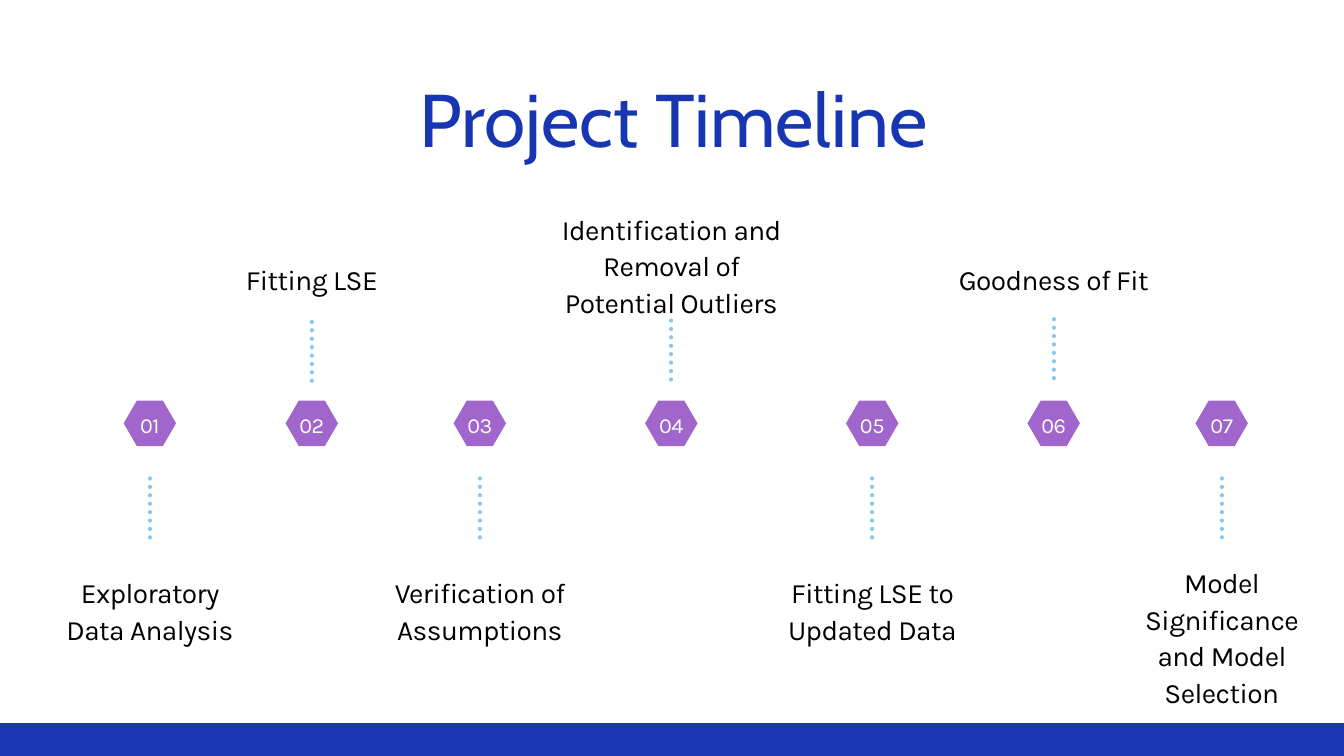
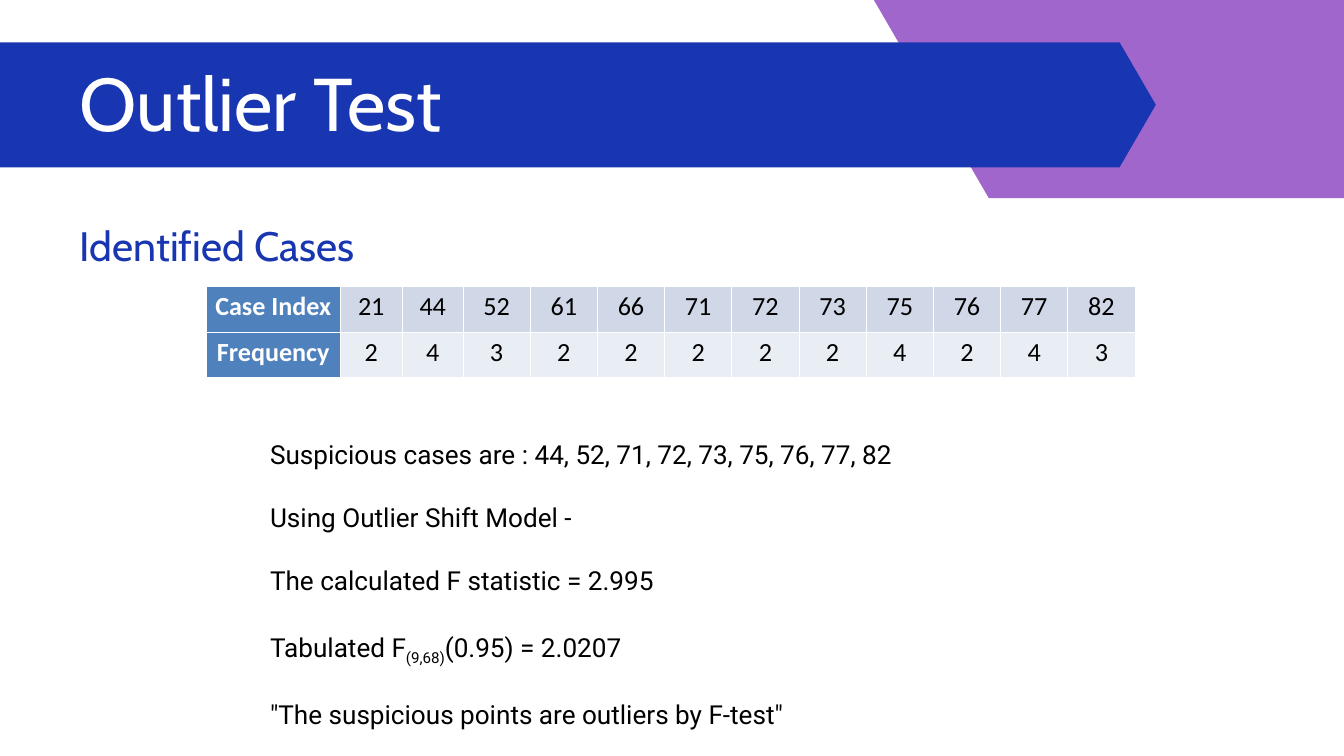
from dataclasses import dataclass, replace

from lxml.etree import SubElement
from pptx import Presentation
from pptx.dml.color import RGBColor
from pptx.enum.dml import MSO_LINE_DASH_STYLE as Dash
from pptx.enum.shapes import MSO_CONNECTOR as Connector, MSO_SHAPE as Shape
from pptx.enum.text import MSO_AUTO_SIZE as AutoSize, PP_ALIGN as Align
from pptx.oxml.ns import qn
from pptx.util import Emu, Inches, Pt

COLUMNS, ROWS = 20, 11.25
SLIDE_WIDTH, SLIDE_HEIGHT = Inches(20), Inches(11.25)

BLUE = RGBColor(0x18, 0x36, 0xB2)
PURPLE = RGBColor(0xA0, 0x66, 0xCB)
SKY = RGBColor(0x86, 0xC7, 0xED)
WHITE = RGBColor(0xFF, 0xFF, 0xFF)
BLACK = RGBColor(0x00, 0x00, 0x00)
HEADER_FILL = RGBColor(0x4F, 0x81, 0xBD)
BAND_FILLS = (RGBColor(0xD0, 0xD8, 0xE8), RGBColor(0xE9, 0xED, 0xF4))

HEXAGON_SLANT = 0.29
LINE_LENGTH = 1


@dataclass(frozen=True)
class Box:
    """A rectangle measured in grid columns and rows."""
    left: float
    top: float
    width: float
    height: float

    def inner(self, left, top, width, height):
        """Return a box placed relative to this one's corner."""
        return Box(self.left + left, self.top + top, width, height)

    def emu(self):
        """Return left, top, width and height as slide lengths."""
        return (across(self.left), down(self.top),
                across(self.width), down(self.height))


@dataclass(frozen=True)
class Style:
    """The look of one kind of text."""
    font: str
    size: float
    color: RGBColor
    spacing: object
    align: Align = Align.LEFT
    tracking: int = 0
    bold: bool = False


TITLE = Style("Cabin", 80, BLUE, Pt(88))
SUBTITLE = replace(TITLE, size=44)
LABEL = Style("Karla", 30, BLACK, Pt(39), Align.CENTER, -60)
NUMBER = Style("Karla", 23.1, WHITE, Pt(32.4), Align.CENTER, -50)
BODY = Style("Roboto", 28, BLACK, 2.0, Align.JUSTIFY)
CELL = Style("Calibri", 28, BLACK, 1.15, Align.CENTER)
CELL_HEADER = replace(CELL, color=WHITE, bold=True)

STEPS = [
    (2.23, 7.12, 8.53, 2.95, 1.07, "Exploratory Data Analysis"),
    (4.64, 4.79, 3.87, 2.95, 0.52, "Fitting LSE"),
    (7.14, 7.12, 8.53, 2.95, 1.07, "Verification of Assumptions"),
    (9.99, 4.77, 3.12, 3.64, 1.62,
     "Identification and Removal of Potential Outliers"),
    (12.98, 7.12, 8.53, 2.95, 1.07, "Fitting LSE to Updated Data"),
    (15.68, 4.75, 3.87, 2.95, 0.52, "Goodness of Fit"),
    (18.18, 7.12, 8.38, 2.95, 2.19, "Model Significance and Model Selection"),
]

CASES = [
    ("Case Index", 21, 44, 52, 61, 66, 71, 72, 73, 75, 76, 77, 82),
    ("Frequency", 2, 4, 3, 2, 2, 2, 2, 2, 4, 2, 4, 3),
]
CASE_WIDTHS = [1.99, 0.93, 0.9] + [1] * 10

FINDINGS = [
    ["Suspicious cases are : 44, 52, 71, 72, 73, 75, 76, 77, 82"],
    ["Using Outlier Shift Model -"],
    ["The calculated F statistic = 2.995"],
    ["Tabulated F", "(9,68)", "(0.95) = 2.0207"],
    ['"The suspicious points are outliers by F-test"'],
]


def across(columns):
    """Turn grid columns into a slide length."""
    return Emu(round(SLIDE_WIDTH * columns / COLUMNS))


def down(rows):
    """Turn grid rows into a slide length."""
    return Emu(round(SLIDE_HEIGHT * rows / ROWS))


def format_paragraph(para, style):
    """Apply a text style to a paragraph and its runs."""
    para.alignment = style.align
    para.line_spacing = style.spacing
    for span in para.runs:
        span.font.name = style.font
        span.font.size = Pt(style.size)
        span.font.bold = style.bold
        span.font.color.rgb = style.color
        if style.tracking:
            span._r.get_or_add_rPr().set("spc", str(style.tracking))


def add_text_box(page, box, inset=True):
    """Add an empty wrapping text box and return its frame."""
    frame = page.shapes.add_textbox(*box.emu()).text_frame
    frame.word_wrap = True
    frame.auto_size = AutoSize.SHAPE_TO_FIT_TEXT
    if not inset:
        frame.margin_left = frame.margin_right = 0
        frame.margin_top = frame.margin_bottom = 0
    return frame


def add_text(page, box, text, style):
    """Add a one-paragraph text box without insets."""
    frame = add_text_box(page, box, inset=False)
    frame.text = text
    format_paragraph(frame.paragraphs[0], style)


def add_filled_shape(page, kind, box, color):
    """Add a flat preset shape without outline."""
    shape = page.shapes.add_shape(kind, *box.emu())
    shape.shadow.inherit = False
    shape.fill.solid()
    shape.fill.fore_color.rgb = color
    shape.line.fill.background()
    return shape


def add_hexagon(page, box, color):
    """Add a hexagon with the shared slant."""
    add_filled_shape(page, Shape.HEXAGON, box, color).adjustments[0] = HEXAGON_SLANT


def add_dotted_line(page, center, top):
    """Add a vertical line of round dots."""
    line = page.shapes.add_connector(
        Connector.STRAIGHT, across(center), down(top),
        across(center), down(top + LINE_LENGTH))
    line.line.color.rgb = SKY
    line.line.width = Pt(4.5)
    line.line.dash_style = Dash.ROUND_DOT
    line.line._get_or_add_ln().set("cap", "rnd")
    SubElement(line._element.spPr, qn("a:effectLst"))


def add_marker(page, box, number):
    """Add a numbered hexagon."""
    add_hexagon(page, box, PURPLE)
    add_text(page, box.inner(0.17, 0.11, 0.44, 0.42), f"{number:02}", NUMBER)


def add_timeline(page, box):
    """Place every step's marker, dotted line and label."""
    for number, step in enumerate(STEPS, 1):
        center, line_top, label_top, width, height, text = step
        add_marker(page, box.inner(center - 0.39, 5.96, 0.78, 0.68), number)
        add_dotted_line(page, box.left + center, box.top + line_top)
        label_box = box.inner(center - width / 2, label_top, width, height)
        add_text(page, label_box, text, LABEL)


def add_banner(page, box, title):
    """Add the title band over the corner hexagon."""
    add_hexagon(page, box.inner(12.52, -4.62, 10.01, 7.57), PURPLE)
    add_hexagon(page, box.inner(-0.76, 0.63, 17.96, 1.86), BLUE)
    add_text(page, box.inner(1.19, 0.95, 14.42, 1.27), title,
             replace(TITLE, color=WHITE))


def format_cell(cell, style, fill):
    """Give a table cell its white borders, fill and text style."""
    properties = cell._tc.get_or_add_tcPr()
    for side in ("L", "R", "T", "B"):
        border = SubElement(properties, qn(f"a:ln{side}"), w=str(Pt(1)))
        solid = SubElement(border, qn("a:solidFill"))
        SubElement(solid, qn("a:srgbClr"), val=str(WHITE))
    cell.fill.solid()
    cell.fill.fore_color.rgb = fill
    cell.margin_left = cell.margin_right = across(0.07)
    cell.margin_top = cell.margin_bottom = 0
    para = cell.text_frame.paragraphs[0]
    para.space_after = Pt(12)
    format_paragraph(para, style)


def add_case_table(page, box):
    """Add the table of case indexes and frequencies."""
    table = page.shapes.add_table(len(CASES), len(CASE_WIDTHS), *box.emu()).table
    table.first_row = table.horz_banding = False
    for column, width in zip(table.columns, CASE_WIDTHS):
        column.width = across(width)
    for row, values, band in zip(table.rows, CASES, BAND_FILLS):
        row.height = down(box.height / len(CASES))
        for index, (cell, value) in enumerate(zip(row.cells, values)):
            cell.text = str(value)
            if index == 0:
                format_cell(cell, CELL_HEADER, HEADER_FILL)
            else:
                format_cell(cell, CELL, band)


def add_findings(page, box):
    """Add the findings, with each second run as a subscript."""
    frame = add_text_box(page, box)
    for index, pieces in enumerate(FINDINGS):
        para = frame.add_paragraph() if index else frame.paragraphs[0]
        for piece in pieces:
            para.add_run().text = piece
        format_paragraph(para, BODY)
        for span in para.runs[1:2]:
            span._r.get_or_add_rPr().set("baseline", "-25000")


def build_timeline_slide(page, box):
    """Build the project timeline slide."""
    add_filled_shape(page, Shape.RECTANGLE, box.inner(-0.17, 10.76, 20.39, 0.55), BLUE)
    add_text(page, box.inner(2.08, 1.2, 15.88, 1.25), "Project Timeline",
             replace(TITLE, align=Align.CENTER))
    add_timeline(page, box)


def build_outlier_slide(page, box):
    """Build the outlier test slide."""
    add_banner(page, box, "Outlier Test")
    add_text(page, box.inner(1.19, 2.79, 11.56, 1.09), "Identified Cases", SUBTITLE)
    add_case_table(page, box.inner(3.07, 4.26, sum(CASE_WIDTHS), 1.36))
    add_findings(page, box.inner(3.92, 6.01, 10.92, 4.66))


def main():
    """Build and save the deck."""
    deck = Presentation()
    deck.slide_width, deck.slide_height = SLIDE_WIDTH, SLIDE_HEIGHT
    for build in (build_timeline_slide, build_outlier_slide):
        page = deck.slides.add_slide(deck.slide_layouts[6])
        build(page, Box(0, 0, COLUMNS, ROWS))
    deck.save("out.pptx")


if __name__ == "__main__":
    main()
